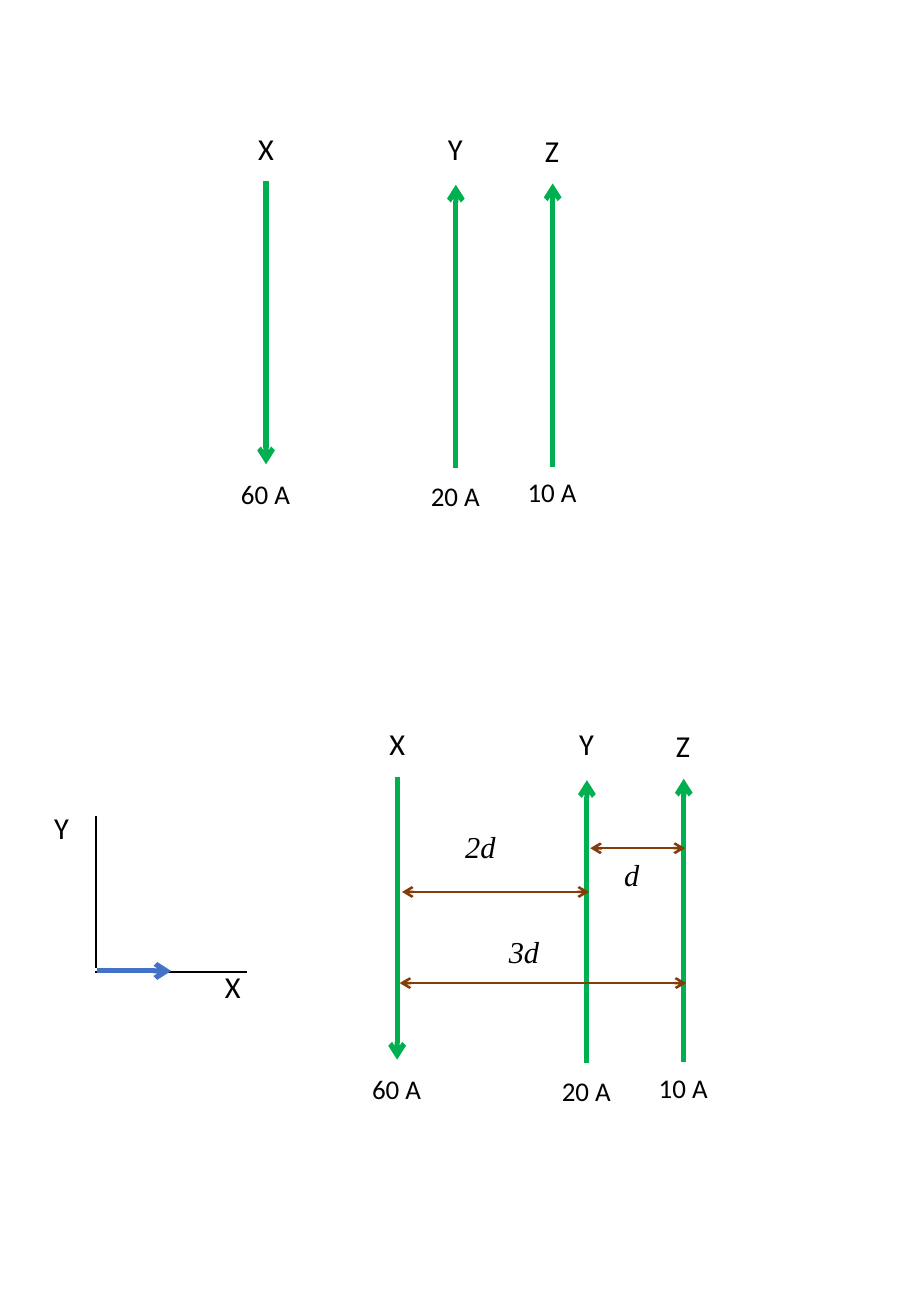
from lxml.etree import SubElement
from pptx import Presentation
from pptx.dml.color import RGBColor
from pptx.enum.shapes import MSO_CONNECTOR
from pptx.enum.text import MSO_AUTO_SIZE
from pptx.oxml.ns import qn
from pptx.util import Pt

BLACK = RGBColor(0x00, 0x00, 0x00)
GREEN = RGBColor(0x00, 0xB0, 0x50)
BROWN = RGBColor(0x84, 0x3C, 0x0B)
BLUE = RGBColor(0x44, 0x72, 0xC4)

WIRE_LENGTH = 167.8
WIRES = [
    ("X", "60 A", 0, 0, False, -33.8, 172),
    ("Y", "20 A", 112.5, 2.2, True, -33.8, 173.2),
    ("Z", "10 A", 169.9, 1.4, True, -32.6, 171.2),
]


class Diagram:
    font = "Calibri"
    symbol_font = "Times New Roman"

    def __init__(self, page):
        self.page = page
        self.shapes = page.shapes

    def start_group(self):
        self.shapes = self.page.shapes.add_group_shape().shapes

    def end_group(self):
        self.shapes = self.page.shapes

    def line(self, start, end, color, width, ends=()):
        line = self.shapes.add_connector(
            MSO_CONNECTOR.STRAIGHT, *(Pt(value) for value in (*start, *end)))
        line.line.color.rgb = color
        line.line.width = Pt(width)
        outline = line.line._get_or_add_ln()
        for name in ends:
            SubElement(outline, qn(f"a:{name}End"), type="arrow")
        SubElement(line._element.spPr, qn("a:effectLst"))

    def text(self, words, center, top, width=23.4, height=28.8, size=18, symbol=False):
        box = self.shapes.add_textbox(
            Pt(center - width / 2), Pt(top), Pt(width), Pt(height))
        frame = box.text_frame
        frame.word_wrap = False
        frame.auto_size = MSO_AUTO_SIZE.SHAPE_TO_FIT_TEXT
        span = frame.paragraphs[0].add_run()
        span.text = words
        span.font.name = self.symbol_font if symbol else self.font
        span.font.size = Pt(size)
        span.font.italic = symbol
        span.font.color.rgb = BLACK

    def wires(self, left, top):
        for name, current, right, down, upward, name_y, current_y in WIRES:
            x, y = left + right, top + down
            start, end = (x, y), (x, y + WIRE_LENGTH)
            if upward:
                start, end = end, start
            self.line(start, end, GREEN, 3, ["tail"])
            self.text(name, x, top + name_y)
            self.text(current, x, top + current_y, 43.9, 26.6, 16)

    def axes(self):
        self.start_group()
        self.line((56.2, 576), (146.2, 576), BLACK, 1.5)
        self.line((57.6, 575.3), (101.5, 575.3), BLUE, 3, ["tail"])
        self.text("X", 137.9, 570.2)
        self.line((56.9, 483.8), (56.9, 573.8), BLACK, 1.5)
        self.text("Y", 36.7, 475.9)
        self.end_group()

    def distance(self, words, left, right, y, center, top, width):
        self.line((left, y), (right, y), BROWN, 1.5, ["head", "tail"])
        self.text(words, center, top, width, symbol=True)


def main():
    deck = Presentation()
    deck.slide_width = Pt(540)
    deck.slide_height = Pt(779.76)
    diagram = Diagram(deck.slides.add_slide(deck.slide_layouts[6]))
    diagram.wires(157.7, 107.3)
    diagram.axes()
    diagram.wires(235.4, 460.1)
    diagram.distance("d", 349.9, 406.1, 502.6, 375.1, 504, 24.5)
    diagram.distance("2d", 238.3, 349.2, 528.5, 284.8, 487.4, 32.4)
    diagram.distance("3d", 236.9, 406.8, 582.5, 310.7, 549.4, 32.4)
    deck.save("out.pptx")


if __name__ == "__main__":
    main()
